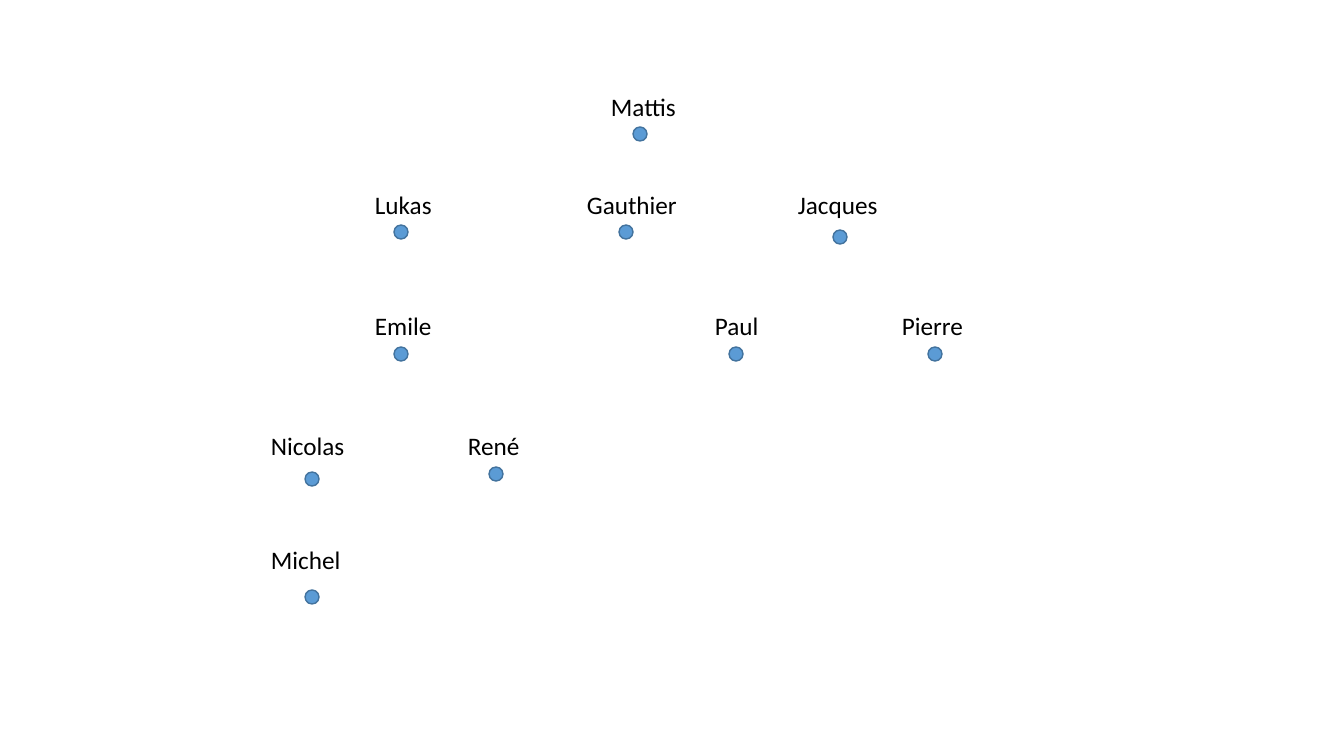
from pptx import Presentation
from pptx import util as u
from pptx.dml.color import RGBColor
from pptx.enum import shapes, text

PX = 914400 / 100.8
COLORS = {"text": "000000", "dot": "5B9BD5", "outline": "43739E"}
LABEL_W, LABEL_H, DOT = 104, 40, 14


def px(*lengths):
    return [u.Emu(round(n * PX)) for n in lengths]


def rgb(name):
    return RGBColor.from_string(COLORS[name])


prs = Presentation()
prs.slide_width, prs.slide_height = px(1344, 756)
s = prs.slides.add_slide(prs.slide_layouts[6])

# Rows of people: label top, then name, label left, dot left, dot top
rows = [
    (86, [("Mattis", 601, 633, 127)]),
    (184, [("Lukas", 365, 394, 225),
           ("Gauthier", 577, 619, 225),
           ("Jacques", 788, 833, 230)]),
    (305, [("Emile", 365, 394, 347),
           ("Paul", 705, 729, 347),
           ("Pierre", 892, 928, 347)]),
    (425, [("Nicolas", 261, 305, 472),
           ("René", 458, 489, 467)]),
    (539, [("Michel", 261, 305, 590)]),
]
wide_labels = {"Gauthier": 128}

for label_top, people in rows:
    for name, label_left, dot_left, dot_top in people:
        # Name label
        width = wide_labels.get(name, LABEL_W)
        tb = s.shapes.add_textbox(*px(label_left, label_top, width, LABEL_H))
        tf = tb.text_frame
        tf.word_wrap = True
        tf.auto_size = text.MSO_AUTO_SIZE.SHAPE_TO_FIT_TEXT
        tf.text = name
        r = tf.paragraphs[0].runs[0]
        r.font.name = "Calibri"
        r.font.size = u.Pt(18)
        r.font.color.rgb = rgb("text")

        # Dot below the label
        sp = s.shapes.add_shape(shapes.MSO_SHAPE.OVAL,
                                *px(dot_left, dot_top, DOT, DOT))
        sp.shadow.inherit = False
        sp.fill.solid()
        sp.fill.fore_color.rgb = rgb("dot")
        sp.line.color.rgb = rgb("outline")
        sp.line.width = u.Pt(1)

prs.save("out.pptx")
